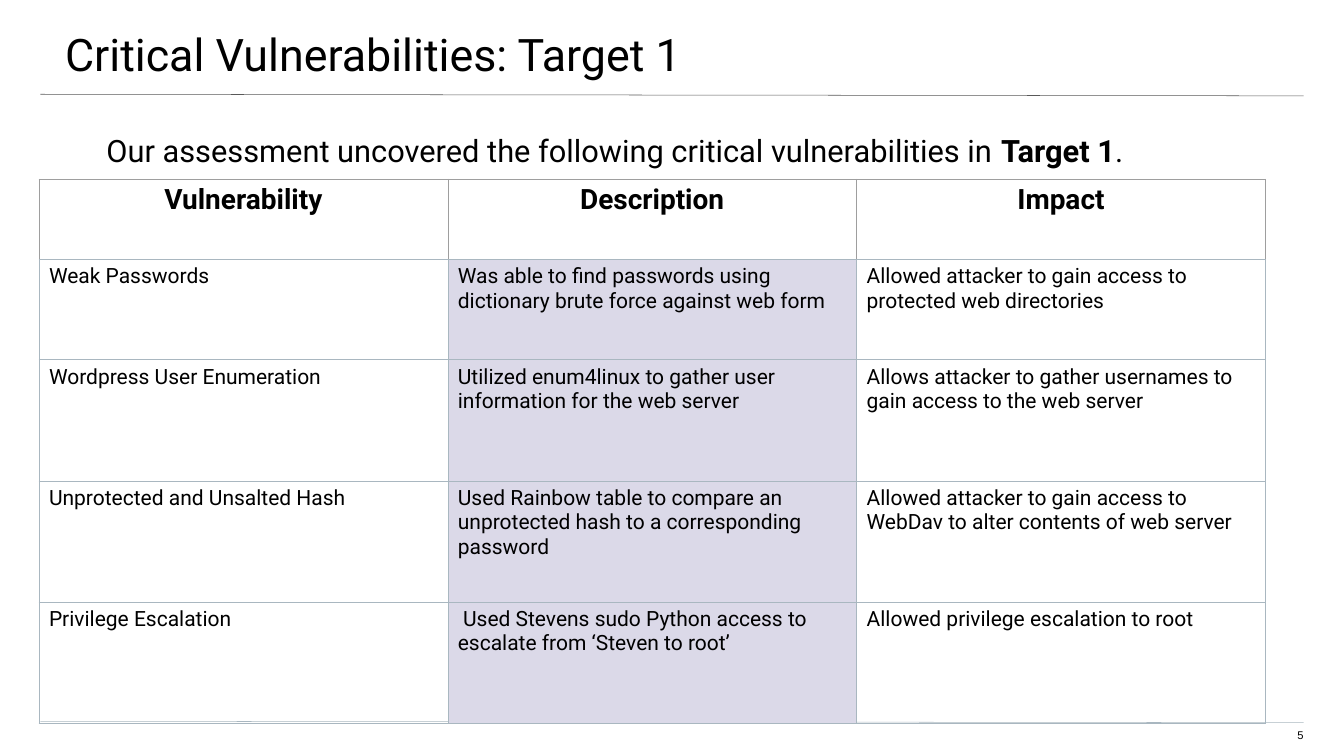
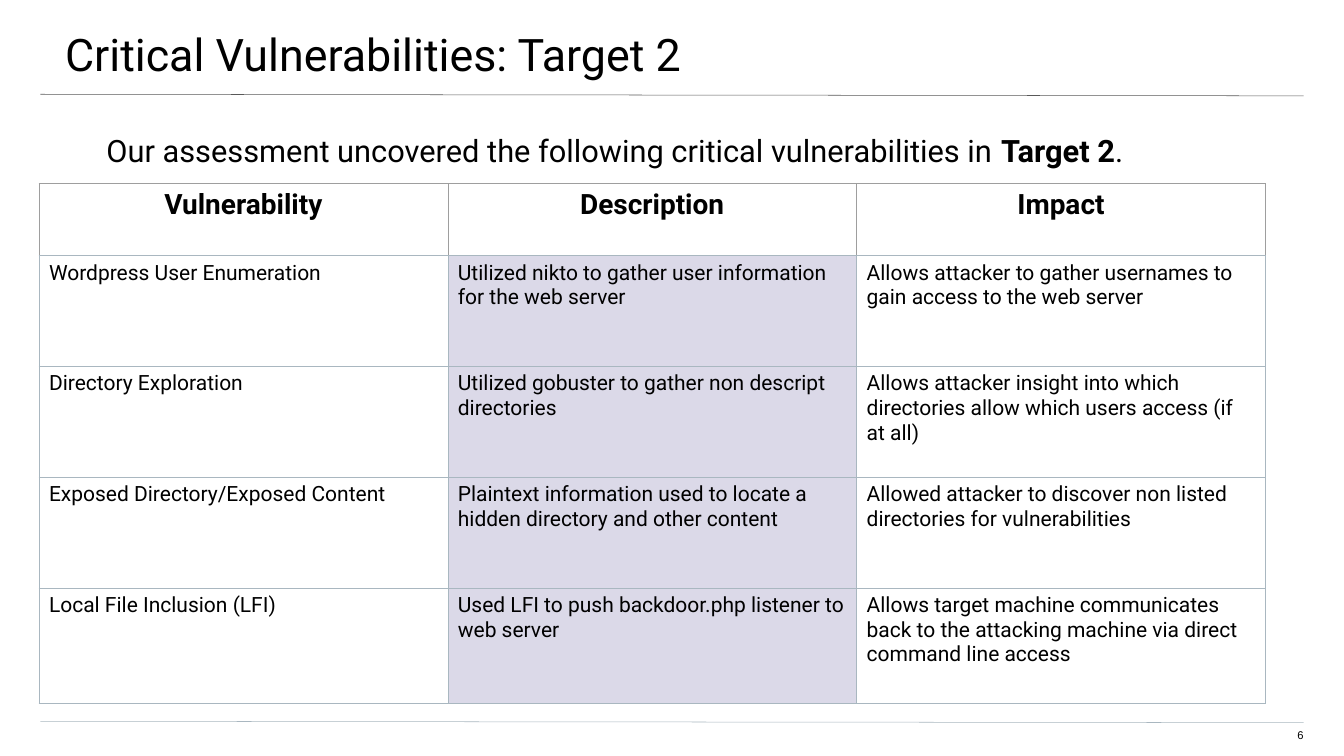
"""Build two slides that tabulate the critical vulnerabilities of each target."""
from lxml import etree
from pptx import Presentation
from pptx.dml.color import RGBColor
from pptx.enum.shapes import MSO_CONNECTOR
from pptx.enum.text import MSO_ANCHOR, MSO_AUTO_SIZE, PP_ALIGN
from pptx.oxml.ns import qn
from pptx.util import Cm, Pt

STRAIGHT = MSO_CONNECTOR.STRAIGHT
TOP = MSO_ANCHOR.TOP
NO_FIT = MSO_AUTO_SIZE.NONE
LEFT, CENTER, RIGHT = PP_ALIGN.LEFT, PP_ALIGN.CENTER, PP_ALIGN.RIGHT

THEME = {
    "text": "000000", "title_rule": "595959", "footer_rule": "A9B7C0",
    "grid": "A9B7C0", "header_grid": "9E9E9E", "highlight": "DBD9E8",
    "font": "Roboto", "number_font": "Arial", "rule_width": 0.75,
    "title_size": 64, "intro_size": 44, "header_size": 40, "cell_size": 30, "number_size": 16,
}
RULES = [(4.75, 4.83, THEME["title_rule"]), (36.35, 36.42, THEME["footer_rule"])]
HEADERS = ["Vulnerability", "Description", "Impact"]
COLUMN_WIDTH = 20.6

TARGETS = [
    {"name": "Target 1", "number": "5", "top": 9.02, "heights": [4.06, 5.05, 6.1, 6.1, 6.1], "rows": [
        ["Weak Passwords",
         "Was able to find passwords using dictionary brute force against web form",
         "Allowed attacker to gain access to protected web directories"],
        ["Wordpress User Enumeration",
         "Utilized enum4linux to gather user information for the web server",
         "Allows attacker to gather usernames to gain access to the web server"],
        ["Unprotected and Unsalted Hash",
         "Used Rainbow table to compare an unprotected hash to a corresponding password",
         "Allowed attacker to gain access to WebDav to alter contents of web server"],
        ["Privilege Escalation",
         " Used Stevens sudo Python access to escalate from ‘Steven to root’",
         "Allowed privilege escalation to root"],
    ]},
    {"name": "Target 2", "number": "6", "top": 9.25, "heights": [3.63, 5.59, 5.59, 5.59, 5.77], "rows": [
        ["Wordpress User Enumeration",
         "Utilized nikto to gather user information for the web server",
         "Allows attacker to gather usernames to gain access to the web server"],
        ["Directory Exploration",
         "Utilized gobuster to gather non descript directories",
         "Allows attacker insight into which directories allow which users access (if at all)"],
        ["Exposed Directory/Exposed Content",
         "Plaintext information used to locate a hidden directory and other content",
         "Allowed attacker to discover non listed directories for vulnerabilities"],
        ["Local File Inclusion (LFI)",
         "Used LFI to push backdoor.php listener to web server",
         "Allows target machine communicates back to the attacking machine via direct command line access"],
    ]},
]


def place_box(box, place, margins):
    """Position a text box or placeholder and set its frame."""
    for side, length in zip(("left", "top", "width", "height"), place):
        setattr(box, side, Cm(length))
    frame = box.text_frame
    for side, length in zip(("left", "top", "right", "bottom"), margins):
        setattr(frame, "margin_" + side, Cm(length))
    for name, value in {"word_wrap": True, "auto_size": NO_FIT, "vertical_anchor": TOP}.items():
        setattr(frame, name, value)
    return frame.paragraphs[0]


def write_text(para, spans, size, align=LEFT, font=THEME["font"]):
    """Fill a paragraph with (text, bold) spans in one size and font."""
    para.alignment = align
    para.space_before = Pt(0)
    for text, bold in spans:
        span = para.add_run()
        span.text = text
        for name, value in {"name": font, "size": Pt(size), "bold": bold}.items():
            setattr(span.font, name, value)
        span.font.color.rgb = RGBColor.from_string(THEME["text"])


deck = Presentation()
deck.slide_width, deck.slide_height = Cm(67.72), Cm(38.1)

for target in TARGETS:
    page = deck.slides.add_slide(deck.slide_layouts[1])

    for start, end, color in RULES:
        rule = page.shapes.add_connector(STRAIGHT, Cm(2.03), Cm(start), Cm(65.68), Cm(end))
        rule.line.color.rgb = RGBColor.from_string(color)
        rule.line.width = Pt(THEME["rule_width"])
        etree.SubElement(rule._element.spPr, qn("a:effectLst"))

    para = place_box(page.shapes.title, (-0.1, 0, 67.89, 3.96), (3.38, 1.35, 2.03, 0.69))
    write_text(para, [("Critical Vulnerabilities: " + target["name"], False)], THEME["title_size"])

    number_box = page.shapes.add_textbox(0, 0, 0, 0)
    para = place_box(number_box, (63.75, 36.73, 1.93, 0.79), (0, 0, 0, 0.69))
    write_text(para, [(target["number"], False)], THEME["number_size"], RIGHT, THEME["number_font"])

    para = place_box(page.placeholders[1], (1.98, 6.63, 63.73, 27.41), (3.38, 0, 3.38, 6.78))
    properties = para._p.get_or_add_pPr()
    properties.set("marL", "0")
    properties.set("indent", "0")
    etree.SubElement(properties, qn("a:buNone"))
    intro = "Our assessment uncovered the following critical vulnerabilities in "
    write_text(para, [(intro, False), (target["name"], True), (".", False)], THEME["intro_size"])

    rows = [HEADERS] + target["rows"]
    table = page.shapes.add_table(
        len(rows), len(HEADERS), Cm(1.96), Cm(target["top"]),
        Cm(COLUMN_WIDTH * len(HEADERS)), Cm(sum(target["heights"]))).table
    table.first_row = table.horz_banding = False
    for column in table.columns:
        column.width = Cm(COLUMN_WIDTH)

    for row_index, texts in enumerate(rows):
        table.rows[row_index].height = Cm(target["heights"][row_index])
        is_header = row_index == 0
        for column_index, text in enumerate(texts):
            cell = table.cell(row_index, column_index)
            side_margin = Cm(0.25 if is_header else 0.51)
            margins = {"margin_left": side_margin, "margin_right": side_margin,
                       "margin_top": Cm(0.25), "margin_bottom": Cm(0.25)}
            for name, value in margins.items():
                setattr(cell, name, value)

            cell_properties = cell._tc.get_or_add_tcPr()
            for side in ("L", "R", "T", "B"):
                color = THEME["header_grid"] if is_header and side != "B" else THEME["grid"]
                border = etree.SubElement(cell_properties, qn("a:ln" + side), w=str(Pt(THEME["rule_width"])))
                fill = etree.SubElement(border, qn("a:solidFill"))
                etree.SubElement(fill, qn("a:srgbClr"), val=color)

            if HEADERS[column_index] == "Description" and not is_header:
                cell.fill.solid()
                cell.fill.fore_color.rgb = RGBColor.from_string(THEME["highlight"])
            else:
                cell.fill.background()

            size = THEME["header_size"] if is_header else THEME["cell_size"]
            write_text(cell.text_frame.paragraphs[0], [(text, is_header)], size, CENTER if is_header else LEFT)

deck.save("out.pptx")
